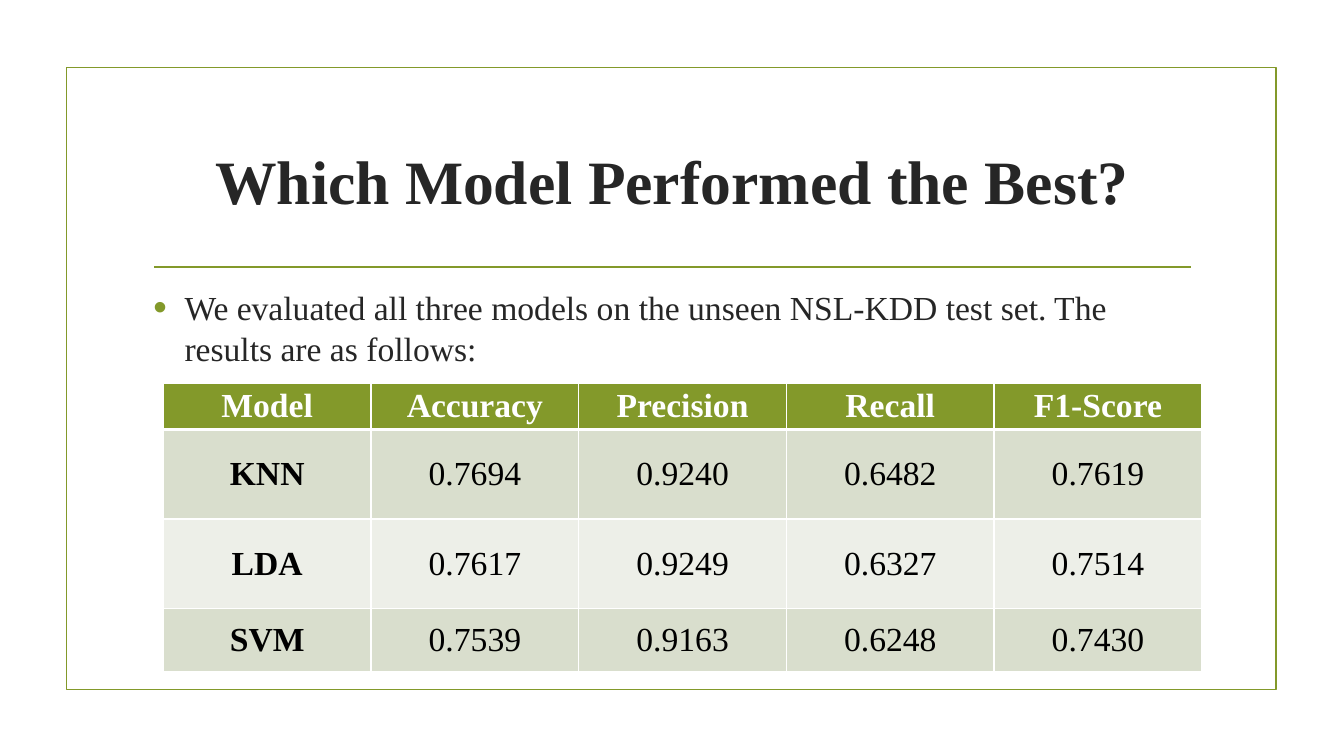
import dataclasses

import lxml.etree
import pptx
import pptx.dml.color
import pptx.enum.shapes
import pptx.enum.text
import pptx.oxml.ns
import pptx.util

PX = 9144
ALIGN = pptx.enum.text.PP_ALIGN
ANCHOR = pptx.enum.text.MSO_ANCHOR


@dataclasses.dataclass(frozen=True)
class Theme:
    font: str = "Times New Roman"
    accent: str = "83992A"
    ink: str = "262626"
    table_ink: str = "000000"
    white: str = "FFFFFF"
    bands: tuple = ("D9DECD", "EDEFE8")
    title_size: int = 44
    text_size: int = 24
    rule_width: float = 1.25


THEME = Theme()

RESULTS = [
    ["Model", "Accuracy", "Precision", "Recall", "F1-Score"],
    ["KNN", "0.7694", "0.9240", "0.6482", "0.7619"],
    ["LDA", "0.7617", "0.9249", "0.6327", "0.7514"],
    ["SVM", "0.7539", "0.9163", "0.6248", "0.7430"],
]
ROW_HEIGHTS = [46, 89, 89, 62]
COLUMN_WIDTH = 206


def px(length):
    return pptx.util.Emu(length * PX)


def rgb(color):
    return pptx.dml.color.RGBColor.from_string(color)


def add_element(parent, tag, **attributes):
    element = lxml.etree.SubElement(parent, pptx.oxml.ns.qn(tag))
    for name, value in attributes.items():
        element.set(name, str(value))
    return element


def add_run(paragraph, text, size, color, bold=False):
    run = paragraph.add_run()
    run.text = text
    run.font.name = THEME.font
    run.font.size = pptx.util.Pt(size)
    run.font.bold = bold
    run.font.color.rgb = rgb(color)


def style_line(line):
    line.color.rgb = rgb(THEME.accent)
    line.width = pptx.util.Pt(THEME.rule_width)


def add_frame(slide, left, top, width, height):
    frame = slide.shapes.add_shape(
        pptx.enum.shapes.MSO_SHAPE.RECTANGLE, px(left), px(top), px(width), px(height)
    )
    frame.shadow.inherit = False
    frame.fill.background()
    style_line(frame.line)


def add_rule(slide, left, right, top):
    rule = slide.shapes.add_connector(
        pptx.enum.shapes.MSO_CONNECTOR.STRAIGHT, px(left), px(top), px(right), px(top)
    )
    style_line(rule.line)
    add_element(rule._element.spPr, "a:effectLst")


def place_placeholder(placeholder, left, top, width, height, anchor):
    placeholder.left, placeholder.top = px(left), px(top)
    placeholder.width, placeholder.height = px(width), px(height)
    text_frame = placeholder.text_frame
    text_frame.word_wrap = True
    text_frame.auto_size = pptx.enum.text.MSO_AUTO_SIZE.NONE
    text_frame.vertical_anchor = anchor
    return text_frame.paragraphs[0]


def fill_title(slide, text):
    paragraph = place_placeholder(slide.shapes.title, 142, 107, 1050, 143, ANCHOR.MIDDLE)
    paragraph.alignment = ALIGN.CENTER
    add_run(paragraph, text, THEME.title_size, THEME.ink, bold=True)


def fill_body(slide, text):
    paragraph = place_placeholder(slide.placeholders[1], 142, 280, 1050, 363, ANCHOR.TOP)
    paragraph.space_before = pptx.util.Pt(2)
    paragraph.space_after = pptx.util.Pt(6)
    properties = paragraph._p.get_or_add_pPr()
    properties.set("marL", str(px(31)))
    properties.set("indent", str(px(-31)))
    bullet_color = add_element(properties, "a:buClr")
    add_element(bullet_color, "a:srgbClr", val=THEME.accent)
    add_element(properties, "a:buSzPct", val=115000)
    add_element(properties, "a:buFont", typeface="Arial")
    add_element(properties, "a:buChar", char="•")
    add_run(paragraph, text, THEME.text_size, THEME.ink)


def add_border(cell, side, points):
    border = add_element(
        cell._tc.get_or_add_tcPr(), f"a:ln{side}", w=pptx.util.Pt(points)
    )
    fill = add_element(border, "a:solidFill")
    add_element(fill, "a:srgbClr", val=THEME.white)


def fill_cell(cell, text, row, column):
    header = row == 0
    for side in "LRTB":
        heavy = (header and side == "B") or (row == 1 and side == "T")
        add_border(cell, side, 3 if heavy else 1)
    cell.fill.solid()
    cell.fill.fore_color.rgb = rgb(THEME.accent if header else THEME.bands[(row - 1) % 2])
    cell.vertical_anchor = ANCHOR.MIDDLE
    cell.margin_top = cell.margin_bottom = px(3)
    paragraph = cell.text_frame.paragraphs[0]
    paragraph.alignment = ALIGN.CENTER
    color = THEME.white if header else THEME.table_ink
    add_run(paragraph, text, THEME.text_size, color, bold=header or column == 0)


def add_results_table(slide, left, top):
    columns = len(RESULTS[0])
    table = slide.shapes.add_table(
        len(RESULTS), columns, px(left), px(top),
        px(COLUMN_WIDTH * columns), px(sum(ROW_HEIGHTS)),
    ).table
    table.horz_banding = False
    for column in table.columns:
        column.width = px(COLUMN_WIDTH)
    for row, (values, height) in enumerate(zip(RESULTS, ROW_HEIGHTS)):
        table.rows[row].height = px(height)
        for column, text in enumerate(values):
            fill_cell(table.cell(row, column), text, row, column)


def main():
    presentation = pptx.Presentation()
    presentation.slide_width = px(1333)
    presentation.slide_height = px(750)
    slide = presentation.slides.add_slide(presentation.slide_layouts[1])
    add_frame(slide, 66, 67, 1200, 617)
    add_rule(slide, 153, 1181, 265)
    fill_title(slide, "Which Model Performed the Best?")
    fill_body(
        slide,
        "We evaluated all three models on the unseen NSL-KDD test set. "
        "The results are as follows:",
    )
    add_results_table(slide, 162, 380)
    presentation.save("out.pptx")


if __name__ == "__main__":
    main()
